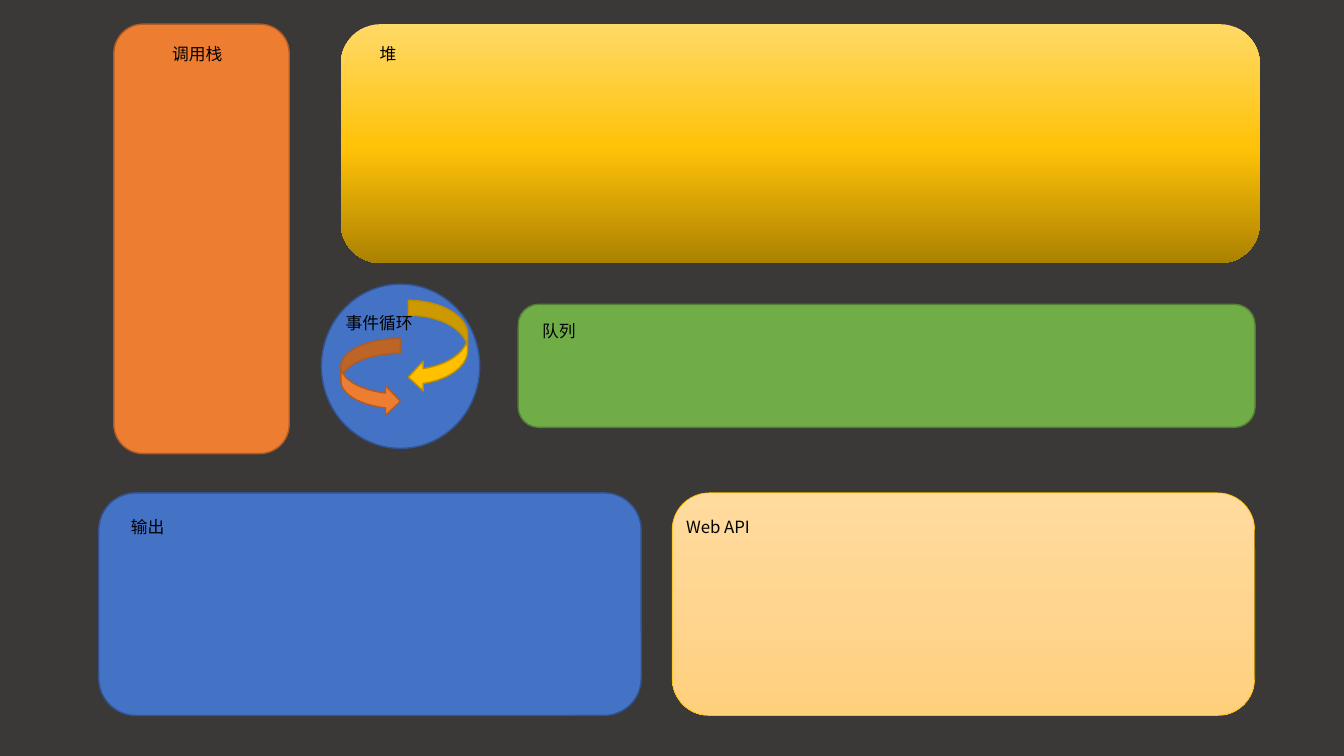
from copy import deepcopy

from pptx import Presentation
from pptx.dml.color import RGBColor
from pptx.enum.shapes import MSO_SHAPE as Preset
from pptx.enum.text import MSO_AUTO_SIZE as AutoSize
from pptx.oxml.ns import qn
from pptx.util import Cm, Pt

COLORS = {
    "background": "3B3838",
    "text": "000000",
    "blue": "4472C4",
    "blue_edge": "325491",
    "orange": "ED7D31",
    "orange_edge": "AF5C24",
    "green": "70AD47",
    "green_edge": "538035",
    "gold": "FFC000",
    "gold_edge": "BD8E00",
    "peach_top": "FFDB9E",
    "peach_middle": "FFD590",
    "peach_bottom": "FFD07C",
    "heap_top": "FFD966",
    "heap_middle": "FFC208",
    "heap_bottom": "AB8100",
}


def color(name):
    return RGBColor.from_string(COLORS[name])


class Diagram:
    font = "Noto Sans CJK SC"
    size = Pt(12)
    label_height = 0.76

    def __init__(self, deck):
        self.slide = deck.slides.add_slide(deck.slide_layouts[6])
        background = self.slide.background.fill
        background.solid()
        background.fore_color.rgb = color("background")

    def block(self, preset, box, fill, edge=None, weight=1):
        block = self.slide.shapes.add_shape(preset, *map(Cm, box))
        block.shadow.inherit = False
        if isinstance(fill, str):
            block.fill.solid()
            block.fill.fore_color.rgb = color(fill)
        else:
            self.gradient(block, fill)
        if edge:
            block.line.color.rgb = color(edge)
            block.line.width = Pt(weight)
        else:
            block.line.fill.background()

    def gradient(self, block, stops):
        block.fill.gradient()
        block.fill.gradient_angle = 270
        stop_list = block.fill.gradient_stops[0]._gs.getparent()
        stop_list.insert(1, deepcopy(stop_list[0]))
        for stop, (position, name) in zip(block.fill.gradient_stops, stops):
            stop.position = position
            stop.color.rgb = color(name)

    def label(self, text, left, top, width):
        label = self.slide.shapes.add_textbox(
            Cm(left), Cm(top), Cm(width), Cm(self.label_height))
        frame = label.text_frame
        frame.text = text
        frame.word_wrap = True
        frame.auto_size = AutoSize.SHAPE_TO_FIT_TEXT
        for run in frame.paragraphs[0].runs:
            run.font.size = self.size
            run.font.name = self.font
            run.font.color.rgb = color("text")
            east_asian = run.font._element.makeelement(
                qn("a:ea"), {"typeface": self.font})
            run.font._element.find(qn("a:latin")).addnext(east_asian)


def main():
    deck = Presentation()
    deck.slide_width, deck.slide_height = Cm(33.87), Cm(19.05)
    diagram = Diagram(deck)
    rounded = Preset.ROUNDED_RECTANGLE
    web_fill = [(0, "peach_top"), (0.5, "peach_middle"), (1, "peach_bottom")]
    heap_fill = [(0, "heap_top"), (0.52, "heap_middle"), (1, "heap_bottom")]

    diagram.block(Preset.OVAL, (8.1, 7.16, 3.99, 4.14), "blue", "blue_edge")

    diagram.block(rounded, (2.87, 0.61, 4.42, 10.82), "orange", "orange_edge")
    diagram.label("调用栈", 4.09, 0.99, 1.93)

    diagram.block(rounded, (2.49, 12.42, 13.67, 5.61), "blue", "blue_edge")
    diagram.label("输出", 3.05, 12.9, 1.57)

    diagram.block(rounded, (13.06, 7.67, 18.57, 3.1), "green", "green_edge")
    diagram.label("队列", 13.41, 7.95, 1.7)

    diagram.block(rounded, (16.94, 12.42, 14.68, 5.61), web_fill, "gold", 0.5)
    diagram.label("Web API", 17.04, 12.9, 2.26)

    diagram.block(Preset.CURVED_RIGHT_ARROW, (8.59, 8.53, 1.5, 1.96),
                  "orange", "orange_edge")
    diagram.block(Preset.CURVED_LEFT_ARROW, (10.29, 7.57, 1.5, 2.31),
                  "gold", "gold_edge")
    diagram.label("事件循环", 8.46, 7.75, 2.31)

    diagram.block(rounded, (8.59, 0.61, 23.16, 6.02), heap_fill)
    diagram.label("堆", 9.32, 0.97, 1.3)

    deck.save("out.pptx")


if __name__ == "__main__":
    main()
